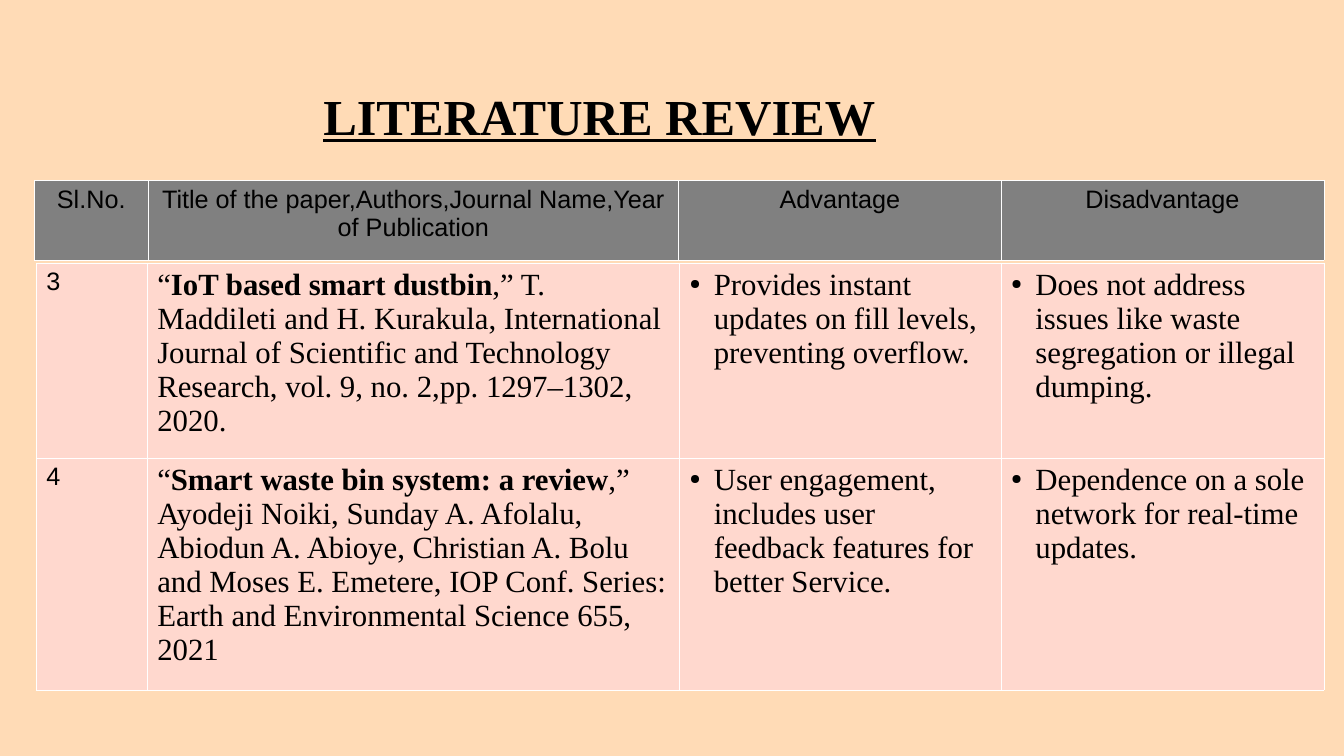
from dataclasses import dataclass

from lxml import etree
from pptx import Presentation
from pptx import util as u
from pptx.dml.color import RGBColor
from pptx.enum import text
from pptx.oxml import ns

PX = 9144  # EMU per px, 100 px to the inch
SANS, SERIF = "Arial", "Times New Roman"
BLACK = RGBColor(0x00, 0x00, 0x00)
PEACH = RGBColor(0xFF, 0xDB, 0xB6)
GREY = RGBColor(0x80, 0x80, 0x80)
PINK = RGBColor(0xFF, 0xD8, 0xCE)
WHITE = RGBColor(0xFF, 0xFF, 0xFF)


@dataclass
class Run:
    text: str
    size: int = 22
    font: str = SERIF
    bold: bool = False
    underline: bool = False


@dataclass
class Cell:
    runs: list[Run]
    centred: bool = False
    bullet: bool = False


@dataclass
class Grid:
    left: int
    top: int
    cols: list[int]
    rows: list[int]
    fill: RGBColor
    cells: list[list[Cell]]


def px(n: int) -> u.Emu:
    return u.Emu(n * PX)


def add_run(p, run: Run) -> None:
    r = p.add_run()
    r.text = run.text
    r.font.size = u.Pt(run.size)
    r.font.name = run.font
    r.font.bold = run.bold
    r.font.underline = run.underline
    r.font.color.rgb = BLACK


def add_bullet(p) -> None:
    pPr = p._p.get_or_add_pPr()
    pPr.set("marL", str(px(24)))
    pPr.set("indent", str(px(-24)))
    color = etree.SubElement(pPr, ns.qn("a:buClr"))
    etree.SubElement(color, ns.qn("a:srgbClr"), val=str(BLACK))
    etree.SubElement(pPr, ns.qn("a:buSzPct"), val="45000")
    etree.SubElement(pPr, ns.qn("a:buChar"), char="●")


def add_borders(cell) -> None:
    tcPr = cell._tc.get_or_add_tcPr()
    for i, side in enumerate(("lnL", "lnR", "lnT", "lnB")):
        ln = etree.Element(ns.qn(f"a:{side}"), w=str(u.Pt(0.06)))
        fill = etree.SubElement(ln, ns.qn("a:solidFill"))
        etree.SubElement(fill, ns.qn("a:srgbClr"), val=str(WHITE))
        tcPr.insert(i, ln)


def draw_cell(cell, content: Cell, fill: RGBColor) -> None:
    cell.fill.solid()
    cell.fill.fore_color.rgb = fill
    add_borders(cell)
    p = cell.text_frame.paragraphs[0]
    if content.bullet:
        add_bullet(p)
    if content.centred:
        p.alignment = text.PP_ALIGN.CENTER
    for run in content.runs:
        add_run(p, run)


def draw_grid(s, grid: Grid) -> None:
    table = s.shapes.add_table(
        len(grid.rows), len(grid.cols), px(grid.left), px(grid.top),
        px(sum(grid.cols)), px(sum(grid.rows))).table
    table.first_row = table.horz_banding = False
    for col, width in zip(table.columns, grid.cols):
        col.width = px(width)
    for row, height, contents in zip(table.rows, grid.rows, grid.cells):
        row.height = px(height)
        for cell, content in zip(row.cells, contents):
            draw_cell(cell, content, grid.fill)


def heading(label: str) -> Cell:
    return Cell([Run(label, 18, SANS)], centred=True)


def paper(number: str, title: str, details: str, pro: str, con: str) -> list[Cell]:
    return [
        Cell([Run(number, 18, SANS)]),
        Cell([Run("“"), Run(title, bold=True), Run(details)]),
        Cell([Run(pro)], bullet=True),
        Cell([Run(con)], bullet=True),
    ]


HEADER = Grid(34, 179, [113, 526, 320, 320], [79], GREY, [[
    heading("Sl.No."),
    heading("Title of the paper,Authors,Journal Name,Year of Publication"),
    heading("Advantage"),
    heading("Disadvantage"),
]])

PAPERS = Grid(36, 261, [110, 528, 319, 320], [166, 227], PINK, [
    paper("3", "IoT based smart dustbin",
          ",” T. Maddileti and H. Kurakula, International Journal of Scientific "
          "and Technology Research, vol. 9, no. 2,pp. 1297–1302, 2020.",
          "Provides instant updates on fill levels, preventing overflow.",
          "Does not address issues like waste segregation or illegal dumping."),
    paper("4", "Smart waste bin system: a review",
          ",” Ayodeji Noiki, Sunday A. Afolalu, Abiodun A. Abioye, Christian A. "
          "Bolu and Moses E. Emetere, IOP Conf. Series: Earth and Environmental "
          "Science 655, 2021",
          "User engagement, includes user feedback features for better Service.",
          "Dependence on a sole network for real-time updates."),
])


def draw_title(s) -> None:
    tf = s.shapes.add_textbox(px(20), px(46), px(1149), px(144)).text_frame
    tf.word_wrap = True
    tf.vertical_anchor = text.MSO_ANCHOR.MIDDLE
    p = tf.paragraphs[0]
    p.alignment = text.PP_ALIGN.CENTER
    p.line_spacing = 0.9
    add_run(p, Run("LITERATURE REVIEW", 36, bold=True, underline=True))


def main() -> None:
    prs = Presentation()
    prs.slide_width, prs.slide_height = px(1333), px(750)
    s = prs.slides.add_slide(prs.slide_layouts[6])
    s.background.fill.solid()
    s.background.fill.fore_color.rgb = PEACH

    # Title, then the header strip and the table of papers
    draw_title(s)
    for grid in (HEADER, PAPERS):
        draw_grid(s, grid)
    prs.save("out.pptx")


if __name__ == "__main__":
    main()
